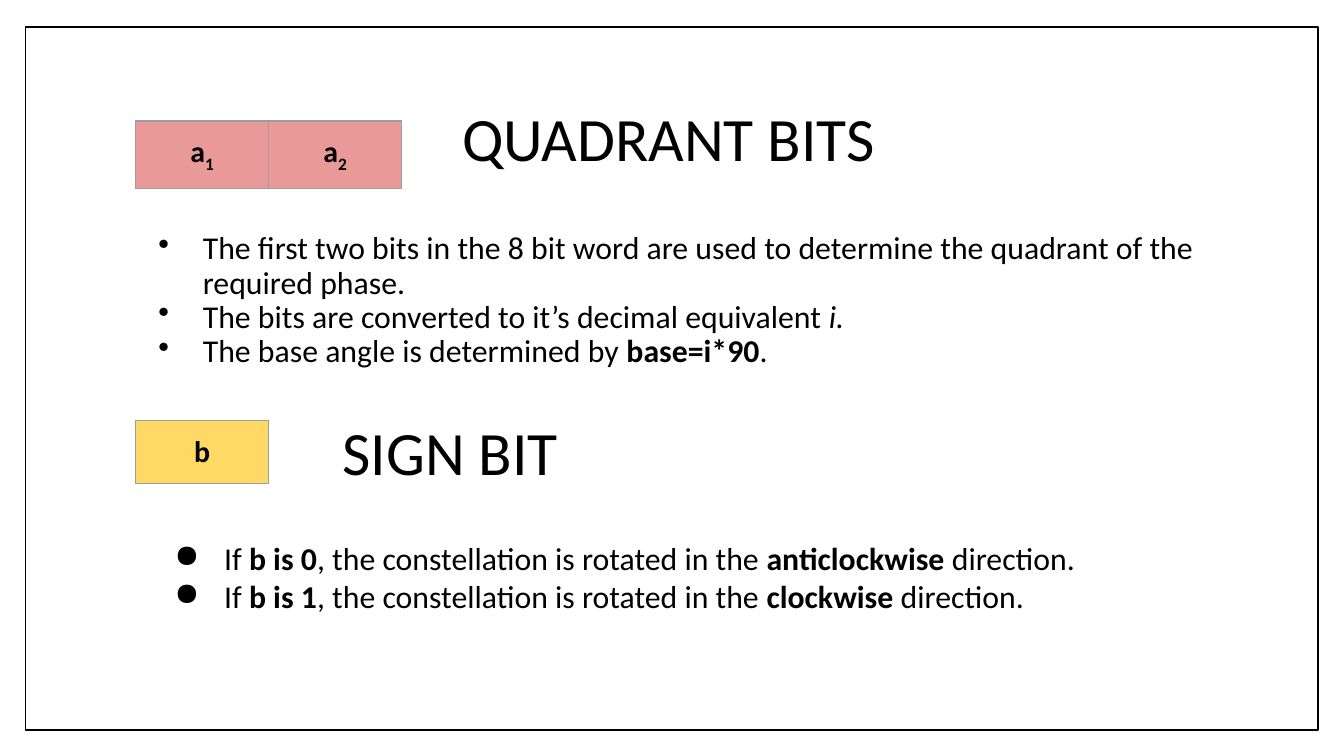
from dataclasses import dataclass

from lxml import etree
from pptx import Presentation
from pptx.dml.color import RGBColor
from pptx.enum.shapes import MSO_SHAPE
from pptx.enum.text import MSO_ANCHOR, PP_ALIGN
from pptx.oxml.ns import qn
from pptx.util import Pt

RECT = MSO_SHAPE.RECTANGLE
TOP, MIDDLE = MSO_ANCHOR.TOP, MSO_ANCHOR.MIDDLE
CENTER = PP_ALIGN.CENTER


@dataclass(frozen=True)
class Theme:
    font: str = "Calibri"
    ink: str = "000000"
    paper: str = "FFFFFF"
    rule: str = "9E9E9E"
    pink: str = "EA9999"
    gold: str = "FFD966"
    head: float = 33
    body: float = 17
    cell: float = 16


@dataclass(frozen=True)
class Part:
    text: str
    bold: bool = False
    slant: bool = False
    sub: bool = False


@dataclass(frozen=True)
class Block:
    """A text box: its lines, place and paragraph rules, in points."""
    lines: list
    left: float
    top: float
    width: float
    height: float
    size: float
    side: float = 7.2
    edge: float = 7.2
    space: float = 1.0
    anchor: int = TOP
    bullet: str = ""
    hang: float = 0


@dataclass(frozen=True)
class Bits:
    """A row of bit cells sharing one fill."""
    cells: list
    top: float
    fill: str
    left: float = 72.6
    width: float = 71.3
    height: float = 30.2


THEME = Theme()


def color(code: str) -> RGBColor:
    return RGBColor.from_string(code)


def write(para, parts: list, size: float) -> None:
    for part in parts:
        run = para.add_run()
        run.text = part.text
        font = run.font
        font.name, font.size = THEME.font, Pt(size)
        font.bold, font.italic = part.bold, part.slant
        font.color.rgb = color(THEME.ink)
        if part.sub:
            run._r.get_or_add_rPr().set("baseline", "-25000")


def mark(para, sign: str, hang: float) -> None:
    props = para._p.get_or_add_pPr()
    props.set("marL", str(Pt(36)))
    props.set("indent", str(-Pt(hang)))
    tint = etree.SubElement(props, qn("a:buClr"))
    etree.SubElement(tint, qn("a:srgbClr"), val=THEME.ink)
    etree.SubElement(props, qn("a:buChar"), char=sign)


def draw_block(slide, block: Block) -> None:
    box = slide.shapes.add_textbox(Pt(block.left), Pt(block.top),
                                   Pt(block.width), Pt(block.height))
    frame = box.text_frame
    frame.word_wrap = True
    frame.vertical_anchor = block.anchor
    frame.margin_left = frame.margin_right = Pt(block.side)
    frame.margin_top = frame.margin_bottom = Pt(block.edge)
    for num, parts in enumerate(block.lines):
        para = frame.add_paragraph() if num else frame.paragraphs[0]
        para.line_spacing = block.space
        if block.bullet:
            mark(para, block.bullet, block.hang)
        write(para, parts, block.size)


def outline(cell) -> None:
    props = cell._tc.get_or_add_tcPr()
    for side in "LRTB":
        line = etree.SubElement(props, qn(f"a:ln{side}"), w=str(Pt(0.75)))
        fill = etree.SubElement(line, qn("a:solidFill"))
        etree.SubElement(fill, qn("a:srgbClr"), val=THEME.rule)


def draw_bits(slide, bits: Bits) -> None:
    count = len(bits.cells)
    table = slide.shapes.add_table(1, count, Pt(bits.left), Pt(bits.top),
                                   Pt(bits.width * count),
                                   Pt(bits.height)).table
    for cell, parts in zip(table.iter_cells(), bits.cells):
        outline(cell)
        cell.fill.solid()
        cell.fill.fore_color.rgb = color(bits.fill)
        cell.margin_left = cell.margin_right = Pt(7.2)
        cell.margin_top = cell.margin_bottom = Pt(7.2)
        para = cell.text_frame.paragraphs[0]
        para.alignment = CENTER
        write(para, parts, THEME.cell)


def draw_frame(slide) -> None:
    frame = slide.shapes.add_shape(RECT, Pt(13.7), Pt(14.4),
                                   Pt(692.6), Pt(376.6))
    frame.shadow.inherit = False
    frame.fill.solid()
    frame.fill.fore_color.rgb = color(THEME.paper)
    frame.line.color.rgb = color(THEME.ink)
    frame.line.width = Pt(1)


def sign_rule(bit: str, turn: str) -> list:
    return [Part("If "), Part(f"b is {bit}", bold=True),
            Part(", the constellation is rotated in the "),
            Part(turn, bold=True), Part(" direction.")]


BLOCKS = [
    # Quadrant bits: heading and rules
    Block([[Part("QUADRANT BITS")]], 242.6, 36, 408.2, 79.9, THEME.head,
          side=5, edge=2.9, space=0.9, anchor=MIDDLE),
    Block([
        [Part("The first two bits in the 8 bit word are used to determine "
              "the quadrant of the required phase.")],
        [Part("The bits are converted to it’s decimal equivalent "),
         Part("i.", slant=True)],
        [Part("The base angle is determined by "),
         Part("base=i*90", bold=True), Part(".")],
    ], 67.7, 121.7, 583.2, 98.6, THEME.body,
        side=5, edge=2.9, space=0.9, bullet="•", hang=23.8),
    # Sign bit: heading and rules
    Block([[Part("SIGN BIT")]], 176.4, 214.6, 365.8, 55.4, THEME.head),
    Block([sign_rule("0", "anticlockwise"), sign_rule("1", "clockwise")],
          77, 281.5, 573.1, 79.9, THEME.body, bullet="●", hang=26.6),
]

ROWS = [
    Bits([[Part("a", bold=True), Part(num, bold=True, sub=True)]
          for num in "12"], 64.8, THEME.pink),
    Bits([[Part("b", bold=True)]], 225.4, THEME.gold),
]


def main() -> None:
    deck = Presentation()
    deck.slide_width, deck.slide_height = Pt(720), Pt(405)
    slide = deck.slides.add_slide(deck.slide_layouts[6])
    draw_frame(slide)
    for block in BLOCKS:
        draw_block(slide, block)
    for bits in ROWS:
        draw_bits(slide, bits)
    deck.save("out.pptx")


if __name__ == "__main__":
    main()
